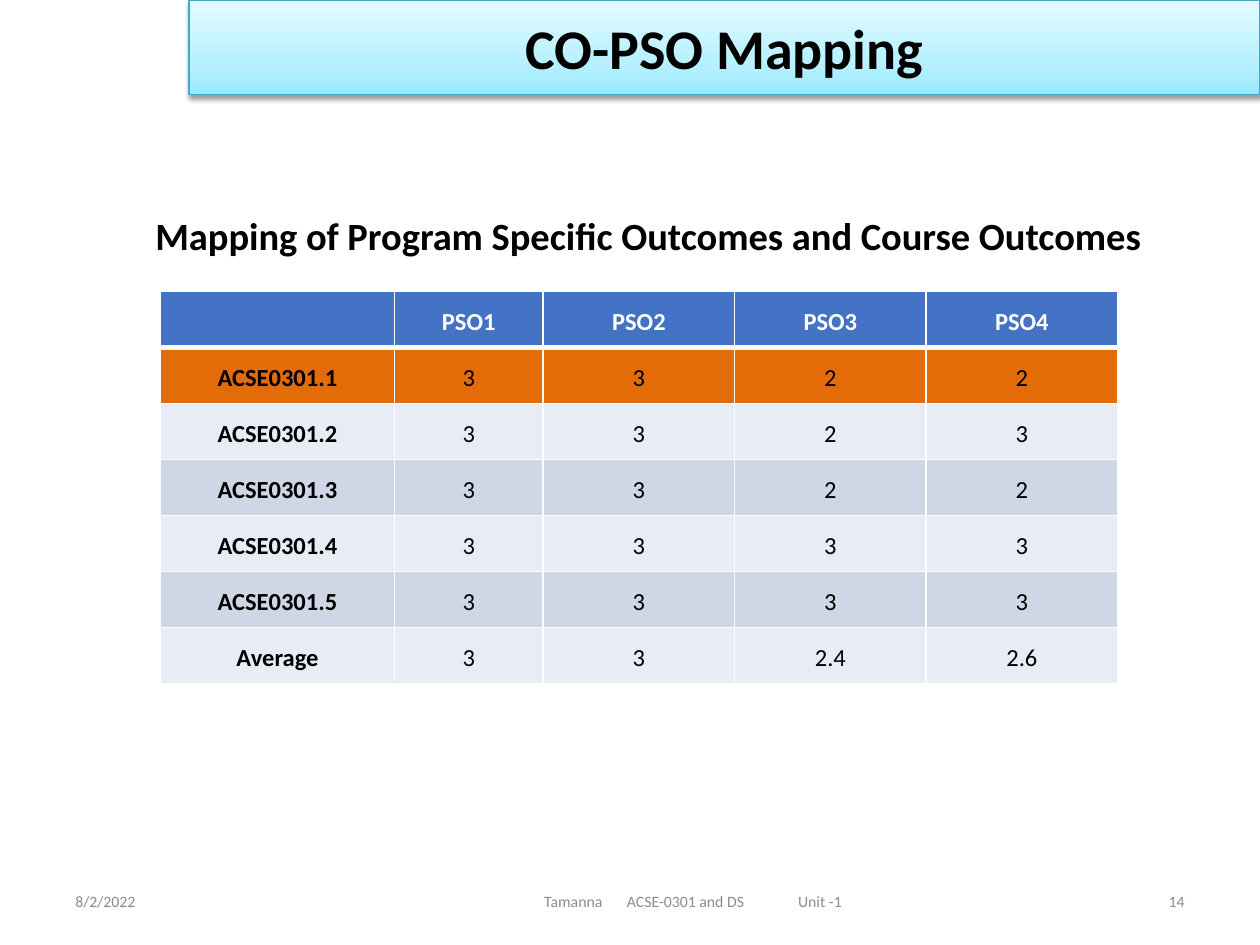
from lxml.etree import SubElement
from pptx import Presentation
from pptx.dml.color import RGBColor
from pptx.enum.text import MSO_ANCHOR as Anchor, PP_ALIGN as Align
from pptx.oxml import parse_xml
from pptx.oxml.ns import nsdecls, qn
from pptx.util import Cm, Pt

TITLE = "CO-PSO Mapping"
HEADING = "Mapping of Program Specific Outcomes and Course Outcomes"
DATE, PAGE = "8/2/2022", "14"
FOOTER = ["Tamanna", "ACSE-0301 and DS", "Unit -1"]
FOOTER_TABS = [1.67, 5.12]
FOOTER_INDENT = 3.98

MAPPING = [
    ("", "PSO1", "PSO2", "PSO3", "PSO4"),
    ("ACSE0301.1", "3", "3", "2", "2"),
    ("ACSE0301.2", "3", "3", "2", "3"),
    ("ACSE0301.3", "3", "3", "2", "2"),
    ("ACSE0301.4", "3", "3", "3", "3"),
    ("ACSE0301.5", "3", "3", "3", "3"),
    ("Average", "3", "3", "2.4", "2.6"),
]
COLUMN_WIDTHS = [4.71, 3, 3.86, 3.86, 3.86]
ROW_HEIGHT = 1.13
HEADER_FILL, HIGHLIGHT_FILL = "4472C4", "E36C09"
BAND_FILLS = ["E8ECF4", "CFD7E7"]
BLACK, WHITE, GREY = "000000", "FFFFFF", "8C8C8C"
TITLE_STOPS = [(0, "9BE9FF"), (35, "B8F1FF"), (100, "E2FBFF")]


def rgb(value):
    return RGBColor.from_string(value)


def write(paragraph, text, size, color=BLACK, bold=False, align=Align.CENTER):
    paragraph.alignment = align
    run = paragraph.add_run()
    run.text = text
    font = run.font
    font.name, font.size, font.bold = "Calibri", Pt(size), bold
    font.color.rgb = rgb(color)


def place(shape, left, top, width, height):
    shape.left, shape.top = Cm(left), Cm(top)
    shape.width, shape.height = Cm(width), Cm(height)


def add_label(slide, left, top, width, height, anchor=Anchor.MIDDLE):
    frame = slide.shapes.add_textbox(Cm(left), Cm(top), Cm(width), Cm(height)).text_frame
    frame.word_wrap = True
    frame.vertical_anchor = anchor
    return frame


def add_title(slide):
    title = slide.shapes.title
    place(title, 3.81, 0, 21.59, 1.91)
    stops = "".join(
        f'<a:gs pos="{position * 1000}"><a:srgbClr val="{color}"/></a:gs>'
        for position, color in TITLE_STOPS)
    properties = title._element.spPr
    for part in (
        f'<a:prstGeom {nsdecls("a")} prst="rect"><a:avLst/></a:prstGeom>',
        f'<a:gradFill {nsdecls("a")} rotWithShape="1"><a:gsLst>{stops}</a:gsLst>'
        '<a:lin ang="16200000" scaled="0"/></a:gradFill>',
        f'<a:effectLst {nsdecls("a")}><a:outerShdw blurRad="39370" dist="20320" '
        'dir="5400000" rotWithShape="0"><a:srgbClr val="000000">'
        '<a:alpha val="38000"/></a:srgbClr></a:outerShdw></a:effectLst>',
    ):
        properties.append(parse_xml(part))
    title.line.color.rgb = rgb("45A9C4")
    title.line.width = Pt(0.75)
    title.text_frame.vertical_anchor = Anchor.MIDDLE
    write(title.text_frame.paragraphs[0], TITLE, 32, bold=True)


def set_borders(cell, bottom_width, top_width):
    properties = cell._tc.get_or_add_tcPr()
    widths = {"a:lnL": 1, "a:lnR": 1, "a:lnT": top_width, "a:lnB": bottom_width}
    for index, (side, width) in enumerate(widths.items()):
        properties.insert(index, parse_xml(
            f'<{side} {nsdecls("a")} w="{Pt(width)}"><a:solidFill>'
            f'<a:srgbClr val="{WHITE}"/></a:solidFill></{side}>'))


def row_fill(row):
    if row < 2:
        return (HEADER_FILL, HIGHLIGHT_FILL)[row]
    return BAND_FILLS[row % 2]


def add_mapping(slide):
    rows, columns = len(MAPPING), len(COLUMN_WIDTHS)
    table = slide.shapes.add_table(
        rows, columns, Cm(3.24), Cm(5.88),
        Cm(sum(COLUMN_WIDTHS)), Cm(rows * ROW_HEIGHT)).table
    for column, width in zip(table.columns, COLUMN_WIDTHS):
        column.width = Cm(width)
    for r, values in enumerate(MAPPING):
        table.rows[r].height = Cm(ROW_HEIGHT)
        for c, value in enumerate(values):
            cell = table.cell(r, c)
            cell.fill.solid()
            cell.fill.fore_color.rgb = rgb(row_fill(r))
            set_borders(cell, 3 if r == 0 else 1, 3 if r == 1 else 1)
            cell.vertical_anchor = Anchor.MIDDLE
            cell.margin_left = cell.margin_right = Cm(0.18)
            cell.margin_top = cell.margin_bottom = 0
            if value:
                paragraph = cell.text_frame.paragraphs[0]
                paragraph.line_spacing = 1.15
                write(paragraph, value, 14, WHITE if r == 0 else BLACK, r == 0 or c == 0)


def add_footer(slide):
    top, height = 17.65, 1.02
    date = add_label(slide, 1.27, top, 5.92, height)
    write(date.paragraphs[0], DATE, 9, GREY, align=Align.LEFT)

    course = add_label(slide, 6.99, top, 13.97, height)
    course.margin_left = Cm(FOOTER_INDENT)
    paragraph = course.paragraphs[0]
    tabs = SubElement(paragraph._p.get_or_add_pPr(), qn("a:tabLst"))
    for position in FOOTER_TABS:
        SubElement(tabs, qn("a:tab"), pos=str(Cm(position)), algn="l")
    write(paragraph, "\t".join(FOOTER), 9, GREY, align=Align.LEFT)

    page = add_label(slide, 18.21, top, 5.92, height)
    write(page.paragraphs[0], PAGE, 9, GREY, align=Align.RIGHT)


def main():
    deck = Presentation()
    deck.slide_width, deck.slide_height = Cm(25.4), Cm(19.05)
    slide = deck.slides.add_slide(deck.slide_layouts[5])
    add_footer(slide)
    add_title(slide)
    heading = add_label(slide, 2.01, 4.14, 22.12, 1.19, Anchor.TOP)
    write(heading.paragraphs[0], HEADING, 22, bold=True)
    add_mapping(slide)
    deck.save("out.pptx")


if __name__ == "__main__":
    main()
